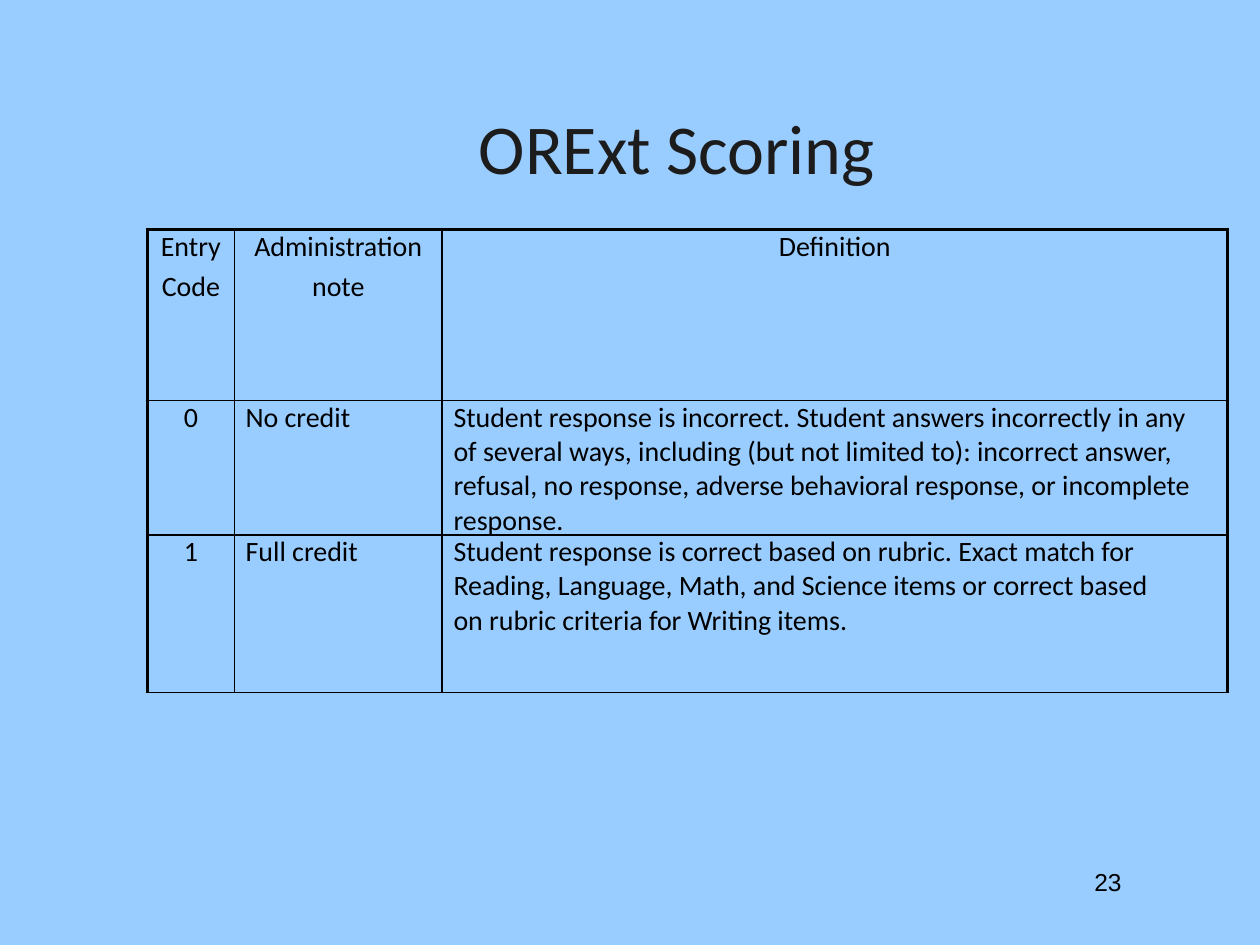
from lxml.etree import SubElement
from pptx import Presentation
from pptx.dml.color import RGBColor
from pptx.enum.text import MSO_ANCHOR, PP_ALIGN
from pptx.oxml.ns import qn
from pptx.util import Inches, Pt

SKY = RGBColor(0x99, 0xCC, 0xFF)
CHARCOAL = RGBColor(0x1C, 0x1C, 0x1C)
BLACK = RGBColor(0, 0, 0)
THIN, THICK = Pt(1), Pt(2.25)


def style(paragraph, size, color, font="Calibri", align=PP_ALIGN.LEFT):
    paragraph.alignment = align
    for run in paragraph.runs:
        run.font.size = Pt(size)
        run.font.name = font
        run.font.color.rgb = color


def add_border(cell, side, width):
    line = SubElement(cell._tc.get_or_add_tcPr(), qn(f"a:ln{side}"), w=str(width))
    fill = SubElement(line, qn("a:solidFill"))
    SubElement(fill, qn("a:srgbClr"), val=str(BLACK))


deck = Presentation()
deck.slide_width, deck.slide_height = Inches(10), Inches(7.5)
col, row = deck.slide_width / 100, deck.slide_height / 75
slide = deck.slides.add_slide(deck.slide_layouts[6])
slide.background.fill.solid()
slide.background.fill.fore_color.rgb = SKY

heading = slide.shapes.add_textbox(
    int(12.5 * col), int(4.2 * row), int(71.7 * col), int(10.8 * row)
).text_frame
heading.word_wrap = True
heading.vertical_anchor = MSO_ANCHOR.MIDDLE
heading.margin_left, heading.margin_top = int(25.5 * col), int(4.1 * row)
heading.margin_right = heading.margin_bottom = 0
heading.text = "ORExt Scoring"
style(heading.paragraphs[0], 40, CHARCOAL)

scoring = [
    ["Entry\nCode", "Administration\nnote", "Definition"],
    ["0", "No credit",
     "Student response is incorrect. Student answers incorrectly in any of several "
     "ways, including (but not limited to): incorrect answer, refusal, no response, "
     "adverse behavioral response, or incomplete response."],
    ["1", "Full credit",
     "Student response is correct based on rubric. Exact match for Reading, Language, "
     "Math, and Science items or correct based on rubric criteria for Writing items."],
]
column_widths = [6.9, 16.5, 62.3]
row_heights = [13.6, 9.9, 12.5]
definition_right_margins = [0, 1.5, 4.5]

table = slide.shapes.add_table(
    len(scoring), len(column_widths), int(11.7 * col), int(18.2 * row),
    int(sum(column_widths) * col), int(sum(row_heights) * row)
).table
for column, width in zip(table.columns, column_widths):
    column.width = int(width * col)
for table_row, height in zip(table.rows, row_heights):
    table_row.height = int(height * row)

last = len(column_widths) - 1
for r, entries in enumerate(scoring):
    for c, entry in enumerate(entries):
        cell = table.cell(r, c)
        centered = r == 0 or c == 0
        cell.margin_top = cell.margin_bottom = 0
        cell.margin_left = 0 if centered else int(0.9 * col)
        cell.margin_right = int(definition_right_margins[r] * col) if c == last else 0
        cell.text_frame.text = entry
        for index, paragraph in enumerate(cell.text_frame.paragraphs):
            style(paragraph, 16, BLACK,
                  align=PP_ALIGN.CENTER if centered else PP_ALIGN.LEFT)
            paragraph.space_before = Pt(3.8 if index else 0)
        add_border(cell, "L", THICK if c == 0 else THIN)
        add_border(cell, "R", THICK if c == last else THIN)
        add_border(cell, "T", THICK if r == 0 else THIN)
        add_border(cell, "B", THIN)
        cell.fill.background()

page_number = slide.shapes.add_textbox(
    int(66.7 * col), int(68.3 * row), int(23.3 * col), int(5.2 * row)
).text_frame
page_number.word_wrap = True
page_number.text = "23"
style(page_number.paragraphs[0], 14, BLACK, "Arial", PP_ALIGN.RIGHT)

deck.save("out.pptx")
